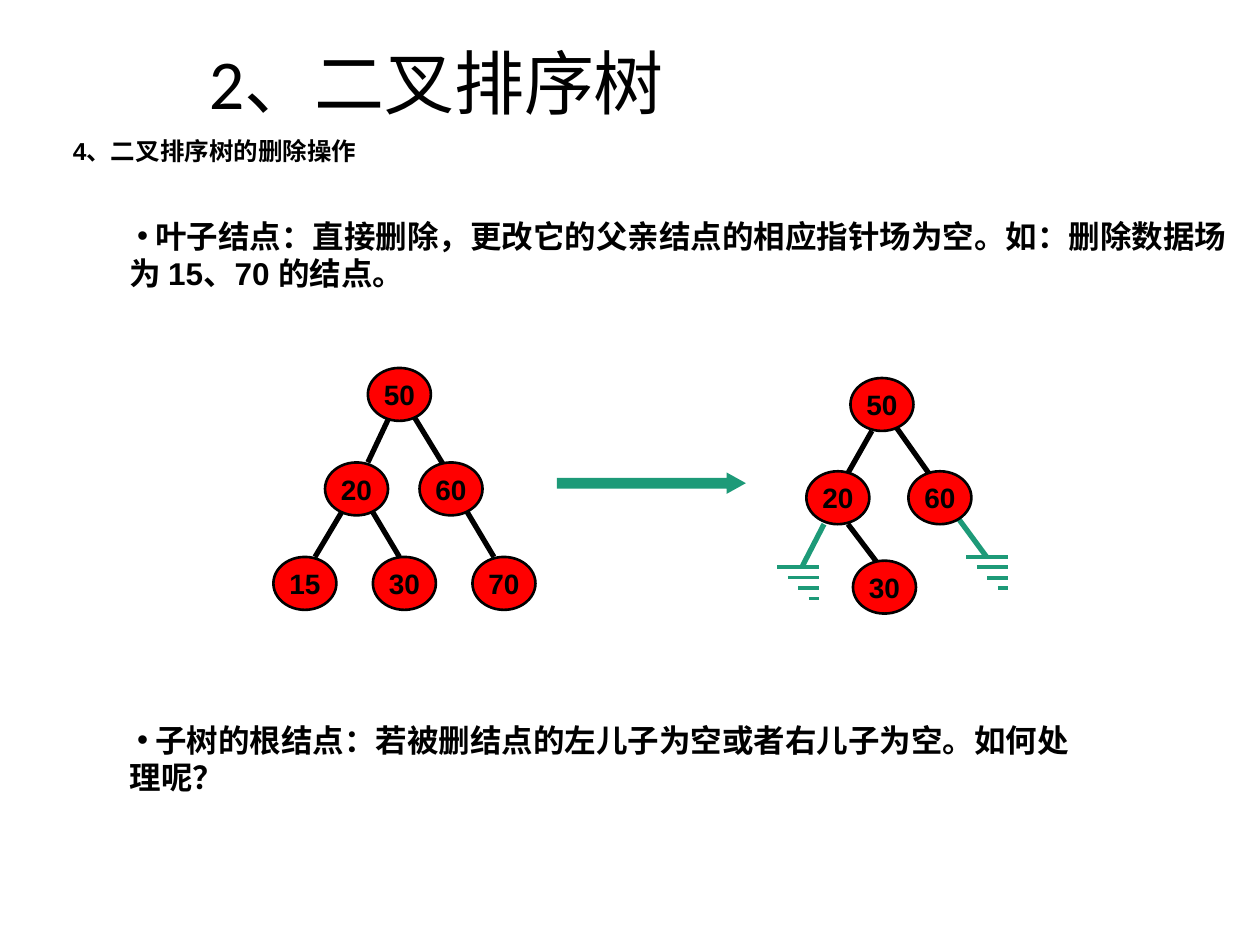
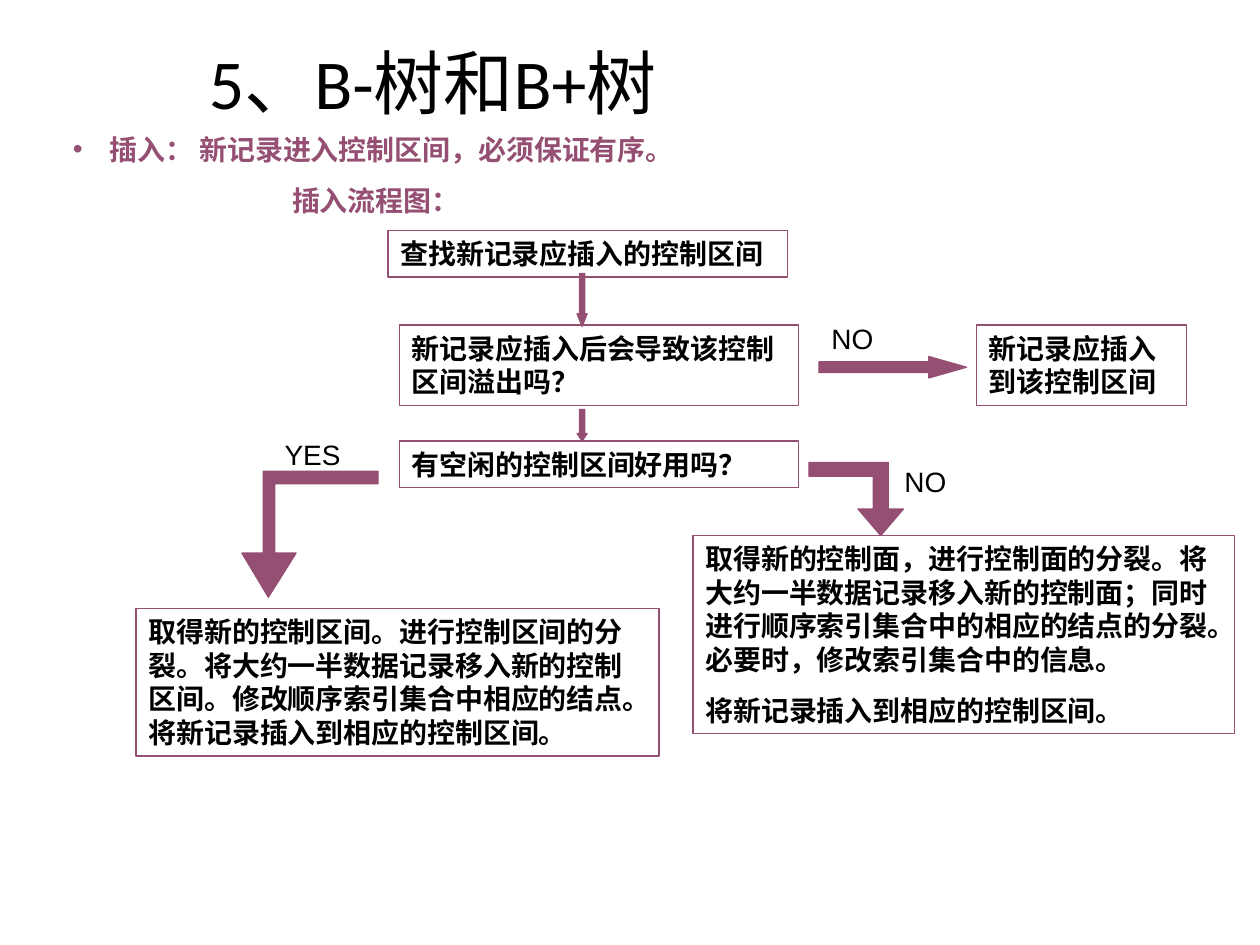
import dataclasses

import pptx
import pptx.dml.color
import pptx.enum.shapes
import pptx.enum.text
import pptx.oxml.ns
import pptx.util
from lxml import etree

Inches = pptx.util.Inches
Pt = pptx.util.Pt
Shape = pptx.enum.shapes.MSO_SHAPE
Anchor = pptx.enum.text.MSO_ANCHOR
Align = pptx.enum.text.PP_ALIGN
AutoSize = pptx.enum.text.MSO_AUTO_SIZE
qn = pptx.oxml.ns.qn


@dataclasses.dataclass(frozen=True)
class Theme:
    ink: str = "000000"
    node: str = "FF0000"
    green: str = "1D9A78"
    plum: str = "954F72"
    title_font: str = "Calibri"
    body_font: str = "Arial"
    title_size: int = 40
    point_size: int = 18
    box_size: int = 16
    heading_size: int = 14
    edge_width: float = 3
    ground_width: float = 2.25
    node_line: float = 1.5
    box_line: float = 0.75


@dataclasses.dataclass(frozen=True)
class Paragraph:
    text: str
    left: float = 0
    first: float = 0
    before: float = 0
    bullet: bool = False


class Deck:
    def __init__(self, theme):
        self.theme = theme
        self.presentation = pptx.Presentation()
        self.presentation.slide_width = Inches(10)
        self.presentation.slide_height = Inches(7.5)
        self.slide = None

    def color(self, value):
        return pptx.dml.color.RGBColor.from_string(value)

    def new_slide(self, title):
        self.slide = self.presentation.slides.add_slide(self.presentation.slide_layouts[6])
        shape = self.text((1.56, 0.32, 7.55, 0.74), [Paragraph(title)], self.theme.title_size,
                          bold=False, font=self.theme.title_font, grow=False)
        shape.text_frame.vertical_anchor = Anchor.MIDDLE
        shape.text_frame.paragraphs[0].line_spacing = 0.9

    def fill_text(self, shape, paragraphs, size, color=None, bold=True, font=None,
                  wrap=True, grow=True, anchor=Anchor.TOP, align=Align.LEFT):
        frame = shape.text_frame
        frame.word_wrap = wrap
        frame.auto_size = AutoSize.SHAPE_TO_FIT_TEXT if grow else AutoSize.NONE
        frame.vertical_anchor = anchor
        color = color or self.theme.ink
        for index, content in enumerate(paragraphs):
            paragraph = frame.add_paragraph() if index else frame.paragraphs[0]
            properties = paragraph._p.get_or_add_pPr()
            properties.set("marL", str(Inches(content.left)))
            properties.set("indent", str(Inches(content.first)))
            if content.bullet:
                bullet_color = etree.SubElement(properties, qn("a:buClr"))
                etree.SubElement(bullet_color, qn("a:srgbClr"), val=color)
                etree.SubElement(properties, qn("a:buFont"), typeface=self.theme.body_font)
                etree.SubElement(properties, qn("a:buChar"), char="•")
            paragraph.alignment = align
            if content.before:
                paragraph.space_before = Pt(content.before)
            run = paragraph.add_run()
            run.text = content.text
            run.font.name = font or self.theme.body_font
            run.font.size = Pt(size)
            run.font.bold = bold
            run.font.color.rgb = self.color(color)

    def text(self, bounds, paragraphs, size, **style):
        shape = self.slide.shapes.add_textbox(*map(Inches, bounds))
        self.fill_text(shape, paragraphs, size, **style)
        return shape

    def paint(self, shape, fill=None, line=None, width=None):
        shape.shadow.inherit = False
        if fill:
            shape.fill.solid()
            shape.fill.fore_color.rgb = self.color(fill)
        else:
            shape.fill.background()
        if line:
            shape.line.color.rgb = self.color(line)
            shape.line.width = Pt(width)
        else:
            shape.line.fill.background()

    def shape(self, kind, bounds, **paint):
        shape = self.slide.shapes.add_shape(kind, *map(Inches, bounds))
        self.paint(shape, **paint)
        return shape

    def node(self, label, left, top):
        shape = self.shape(Shape.OVAL, (left, top, 0.5, 0.42), fill=self.theme.node,
                           line=self.theme.ink, width=self.theme.node_line)
        self.fill_text(shape, [Paragraph(label)], self.theme.box_size, wrap=False,
                       grow=False, anchor=Anchor.MIDDLE, align=Align.CENTER)

    def box(self, bounds, *texts):
        shape = self.shape(Shape.RECTANGLE, bounds, line=self.theme.plum, width=self.theme.box_line)
        paragraphs = [Paragraph(text, before=10 if index else 0) for index, text in enumerate(texts)]
        self.fill_text(shape, paragraphs, self.theme.box_size)

    def arrow(self, kind, bounds, head, color, outlined=True):
        shape = self.shape(kind, bounds, fill=color, line=color if outlined else None,
                           width=self.theme.box_line)
        shape.adjustments[0] = 0.5
        shape.adjustments[1] = head

    def bent_arrow(self, points):
        corners = [(Inches(x), Inches(y)) for x, y in points]
        builder = self.slide.shapes.build_freeform(*corners[0])
        builder.add_line_segments(corners[1:], close=True)
        self.paint(builder.convert_to_shape(), fill=self.theme.plum,
                   line=self.theme.plum, width=self.theme.box_line)

    def line(self, ends, color, width):
        connector = self.slide.shapes.add_connector(
            pptx.enum.shapes.MSO_CONNECTOR.STRAIGHT, *map(Inches, ends))
        connector.line.color.rgb = self.color(color)
        connector.line.width = Pt(width)
        etree.SubElement(connector._element.spPr, qn("a:effectLst"))

    def ground(self, left, top):
        step = 1 / 12
        for index in range(4):
            y = top + index * step
            self.line((left + index * step, y, left + 4 * step, y),
                      self.theme.green, self.theme.ground_width)

    def point(self, top, width, text):
        self.text((0, top, width, 0.7), [Paragraph(" " + text, 0.93, 0.06, bullet=True)],
                  self.theme.point_size)


def build_deletion(deck):
    theme = deck.theme
    deck.new_slide("2、二叉排序树")
    deck.text((-0.02, 1.03, 3.04, 0.34), [Paragraph("4、二叉排序树的删除操作", left=0.5)],
              theme.heading_size, wrap=False)
    deck.point(1.67, 10, "叶子结点：直接删除，更改它的父亲结点的相应指针场为空。如：删除数据场为 15、70 的结点。")

    tree_edges = [
        (3.08, 3.33, 2.92, 3.67), (3.27, 3.28, 3.52, 3.69), (2.75, 4, 2.5, 4.42),
        (2.92, 4, 3.17, 4.42), (3.67, 4, 3.92, 4.42),
        (6.92, 3.42, 6.71, 3.79), (7.07, 3.33, 7.48, 3.91), (6.73, 4.16, 6.98, 4.49),
    ]
    removed_edges = [(6.54, 4.16, 6.37, 4.49), (7.58, 4.08, 7.83, 4.42)]
    for edges, color in ((tree_edges, theme.ink), (removed_edges, theme.green)):
        for ends in edges:
            deck.line(ends, color, theme.edge_width)

    before = [("50", 2.92, 2.92), ("20", 2.58, 3.67), ("60", 3.33, 3.67),
              ("15", 2.17, 4.42), ("30", 2.96, 4.42), ("70", 3.75, 4.42)]
    after = [("50", 6.75, 3), ("20", 6.4, 3.74), ("60", 7.21, 3.74), ("30", 6.77, 4.45)]
    for node in before + after:
        deck.node(*node)

    deck.arrow(Shape.RIGHT_ARROW, (4.42, 3.75, 1.5, 0.17), 0.9, theme.green, outlined=False)
    deck.ground(6.17, 4.5)
    deck.ground(7.67, 4.42)
    deck.point(5.67, 8.83, "子树的根结点：若被删结点的左儿子为空或者右儿子为空。如何处理呢？")


def build_insertion(deck):
    theme = deck.theme
    deck.new_slide("5、B-树和B+树")
    deck.text((0, 1, 10, 0.77), [
        Paragraph(" 插入： 新记录进入控制区间，必须保证有序。", 0.72, -0.24, bullet=True),
        Paragraph("插入流程图：", left=2.22, before=10),
    ], theme.box_size, color=theme.plum)

    deck.box((3.08, 1.83, 3.17, 0.37), "查找新记录应插入的控制区间")
    deck.box((3.17, 2.58, 3.17, 0.64), "新记录应插入后会导致该控制区间溢出吗？")
    deck.box((3.17, 3.5, 3.17, 0.37), "有空闲的控制区间好用吗？")
    deck.box((1.08, 4.83, 4.15, 1.17),
             "取得新的控制区间。进行控制区间的分裂。将大约一半数据记录移入新的控制区间。"
             "修改顺序索引集合中相应的结点。将新记录插入到相应的控制区间。")
    deck.box((7.75, 2.58, 1.67, 0.64), "新记录应插入到该控制区间")
    deck.box((5.5, 4.25, 4.3, 1.57),
             "取得新的控制面，进行控制面的分裂。将大约一半数据记录移入新的控制面；"
             "同时进行顺序索引集合中的相应的结点的分裂。必要时，修改索引集合中的信息。",
             "将新记录插入到相应的控制区间。")

    deck.arrow(Shape.DOWN_ARROW, (4.58, 2.17, 0.08, 0.42), 1.25, theme.plum)
    deck.arrow(Shape.DOWN_ARROW, (4.58, 3.25, 0.08, 0.25), 0.75, theme.plum)
    deck.arrow(Shape.RIGHT_ARROW, (6.5, 2.83, 1.17, 0.17), 1.75, theme.plum)
    deck.bent_arrow([(6.99, 4.25), (6.81, 4.04), (6.93, 4.04), (6.93, 3.78), (6.42, 3.78),
                     (6.42, 3.67), (7.05, 3.67), (7.05, 4.04), (7.17, 4.04)])
    deck.bent_arrow([(2.13, 4.74), (2.35, 4.39), (2.18, 4.39), (2.18, 3.84), (3, 3.84),
                     (3, 3.74), (2.09, 3.74), (2.09, 4.39), (1.92, 4.39)])

    for answer, left, top in (("NO", 7.08, 3.64), ("NO", 6.5, 2.5), ("YES", 2.16, 3.42)):
        deck.text((left, top, 0.75, 0.37), [Paragraph(answer)], theme.box_size, bold=False)


def main():
    deck = Deck(Theme())
    build_deletion(deck)
    build_insertion(deck)
    deck.presentation.save("out.pptx")


if __name__ == "__main__":
    main()
